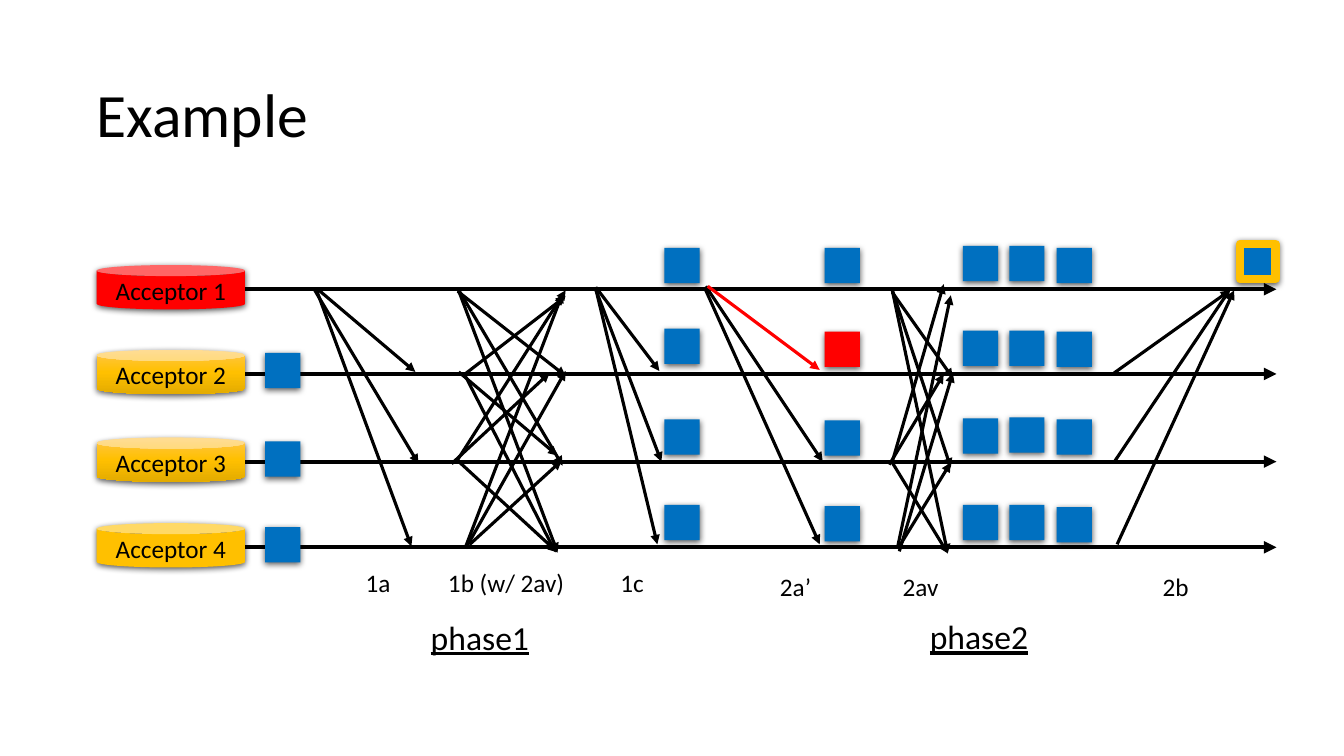
from copy import deepcopy

from lxml import etree
from pptx import Presentation
from pptx.dml.color import RGBColor
from pptx.enum.shapes import MSO_CONNECTOR, MSO_SHAPE
from pptx.enum.text import MSO_ANCHOR, PP_ALIGN
from pptx.oxml import parse_xml
from pptx.oxml.ns import nsdecls, qn
from pptx.util import Inches, Pt

BLACK = RGBColor(0x00, 0x00, 0x00)
RED = RGBColor(0xFF, 0x00, 0x00)
BLUE = RGBColor(0x00, 0x70, 0xC0)
GOLD = RGBColor(0xFF, 0xC0, 0x00)
LIGHT_GOLD = RGBColor(0xFF, 0xC6, 0x4B)
DARK_GOLD = RGBColor(0xE3, 0xAB, 0x00)
STRAIGHT = MSO_CONNECTOR.STRAIGHT
CAN, SQUARE = MSO_SHAPE.CAN, MSO_SHAPE.RECTANGLE
MIDDLE = MSO_ANCHOR.MIDDLE
LEFT, CENTER = PP_ALIGN.LEFT, PP_ALIGN.CENTER

SHADOW = (
    f'<a:effectLst {nsdecls("a")}>'
    '<a:outerShdw blurRad="57150" dist="19050" dir="5400000" algn="ctr" rotWithShape="0">'
    '<a:srgbClr val="000000"><a:alpha val="63000"/></a:srgbClr>'
    '</a:outerShdw></a:effectLst>'
)

prs = Presentation()
prs.slide_width, prs.slide_height = Inches(13.33), Inches(7.5)
slide = prs.slides.add_slide(prs.slide_layouts[6])
shapes = slide.shapes


def add_arrow(start, end, color=BLACK, width=2.25):
    arrow = shapes.add_connector(STRAIGHT, *(Inches(v) for v in (*start, *end)))
    arrow.line.color.rgb = color
    arrow.line.width = Pt(width)
    etree.SubElement(arrow.line._get_or_add_ln(), qn("a:tailEnd"), type="triangle")
    etree.SubElement(arrow._element.spPr, qn("a:effectLst"))


def write(shape, text, size, align=CENTER):
    frame = shape.text_frame
    frame.text = text
    frame.word_wrap = True
    frame.vertical_anchor = MIDDLE
    paragraph = frame.paragraphs[0]
    paragraph.alignment = align
    font = paragraph.runs[0].font
    font.name, font.size, font.color.rgb = "Calibri", Pt(size), BLACK
    return paragraph


# Title
title = shapes.add_textbox(Inches(0.86), Inches(0.44), Inches(11.5), Inches(1.45))
write(title, "Example", 44, LEFT).line_spacing = 0.9

# Acceptors with their timelines
timelines = [2.87, 3.71, 4.58, 5.43]
for number, (y, color) in enumerate(zip(timelines, [RED, None, None, GOLD]), 1):
    add_arrow((1.5, y), (12.66, y), width=3)
    acceptor = shapes.add_shape(CAN, Inches(0.96), Inches(y - 0.24), Inches(1.47), Inches(0.44))
    if color is None:
        acceptor.fill.gradient()
        acceptor.fill.gradient_angle = 270
        first, last = acceptor.fill.gradient_stops
        first.color.rgb, first.position = GOLD, 0.5
        stop_list = acceptor._element.spPr.find(qn("a:gradFill")).find(qn("a:gsLst"))
        stop_list.insert(0, deepcopy(stop_list[0]))
        first = acceptor.fill.gradient_stops[0]
        first.color.rgb, first.position = LIGHT_GOLD, 0
        last.color.rgb, last.position = DARK_GOLD, 1
    else:
        acceptor.fill.solid()
        acceptor.fill.fore_color.rgb = color
    acceptor.line.fill.background()
    acceptor._element.spPr.append(parse_xml(SHADOW))
    write(acceptor, f"Acceptor {number}", 18)

# Messages of each step, from sender to receiver
messages = {
    "1a": [((3.14, 2.86), (4.12, 3.69)), ((3.11, 2.86), (4.15, 4.6)),
           ((3.14, 2.88), (4.08, 5.42))],
    "1b": [((4.54, 2.89), (5.61, 3.73)), ((4.54, 2.86), (5.58, 4.62)),
           ((4.54, 2.86), (5.53, 5.48)),
           ((4.6, 3.72), (5.61, 2.94)), ((4.55, 3.69), (5.53, 4.52)),
           ((4.6, 3.7), (5.51, 5.48)),
           ((4.54, 4.56), (5.61, 2.88)), ((4.48, 4.6), (5.45, 3.7)),
           ((4.54, 4.57), (5.53, 5.48)),
           ((4.62, 5.42), (5.58, 2.91)), ((4.62, 5.44), (5.61, 3.68)),
           ((4.66, 5.4), (5.57, 4.57))],
    "1c": [((5.91, 2.85), (6.54, 3.68)), ((5.9, 2.85), (6.56, 4.58)),
           ((5.91, 2.87), (6.52, 5.4))],
    "2a’": [((7, 2.84), (8.16, 4.58)), ((7, 2.88), (8.13, 5.4))],
    "2av": [((8.85, 2.9), (9.45, 3.75)), ((8.85, 2.88), (9.43, 4.64)),
            ((8.85, 2.88), (9.4, 5.49)),
            ((8.85, 4.58), (9.36, 2.82)), ((8.82, 4.61), (9.36, 3.71)),
            ((8.85, 4.59), (9.4, 5.49)),
            ((8.9, 5.44), (9.43, 2.93)), ((8.92, 5.47), (9.45, 3.7)),
            ((8.92, 5.42), (9.43, 4.59))],
    "2b": [((11.05, 3.7), (12.2, 2.88)), ((11.06, 4.57), (12.2, 2.87)),
           ((11.08, 5.4), (12.24, 2.88))],
}
for step_messages in messages.values():
    for sender, receiver in step_messages:
        add_arrow(sender, receiver)
add_arrow((7.02, 2.84), (8.13, 3.67), RED)

# Value blocks: left edge and the tops down each column
block_columns = [
    (2.63, [3.5, 4.38, 5.23]),
    (6.59, [2.46, 3.26, 4.16, 5.01]),
    (8.18, [2.46, 3.29, 4.17, 5.02]),
    (9.55, [2.44, 3.28, 4.15, 5.01]),
    (10.01, [2.44, 3.28, 4.14, 5.01]),
    (10.48, [2.46, 3.29, 4.16, 5.03]),
    (12.3, [2.42]),
]
for x, tops in block_columns:
    for y in tops:
        block = shapes.add_shape(SQUARE, Inches(x), Inches(y), Inches(0.35), Inches(0.35))
        block.fill.solid()
        block.fill.fore_color.rgb = RED if (x, y) == (8.18, 3.29) else BLUE
        if x == 12.3:  # decided value
            block.line.color.rgb = GOLD
            block.line.width = Pt(6)
        else:
            block.line.fill.background()
        block._element.spPr.append(parse_xml(SHADOW))

# Step labels, centred on x
step_labels = [
    ("1a", 3.75, 5.58), ("1b (w/ 2av)", 5.02, 5.58), ("1c", 6.27, 5.58),
    ("2a’", 7.89, 5.62), ("2av", 9.13, 5.62), ("2b", 11.66, 5.62),
]
for text, x, y in step_labels:
    step = shapes.add_textbox(Inches(x - 0.75), Inches(y), Inches(1.5), Inches(0.4))
    write(step, text, 18)

# Phase labels
for text, x, y in [("phase1", 4.76, 6.06), ("phase2", 9.71, 6.05)]:
    phase = shapes.add_textbox(Inches(x - 1.15), Inches(y), Inches(2.3), Inches(0.52))
    write(phase, text, 24).runs[0].font.underline = True

prs.save("out.pptx")
